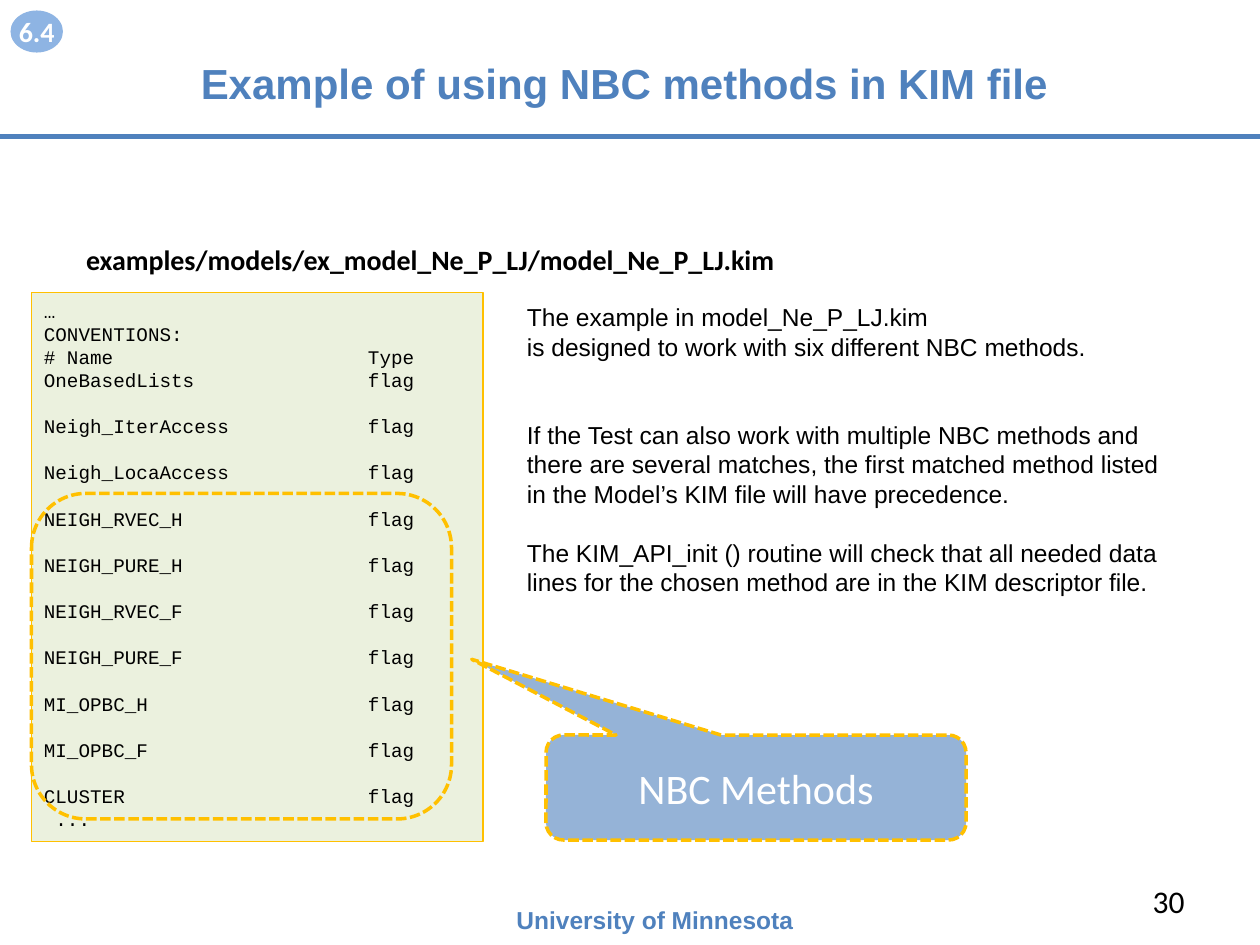
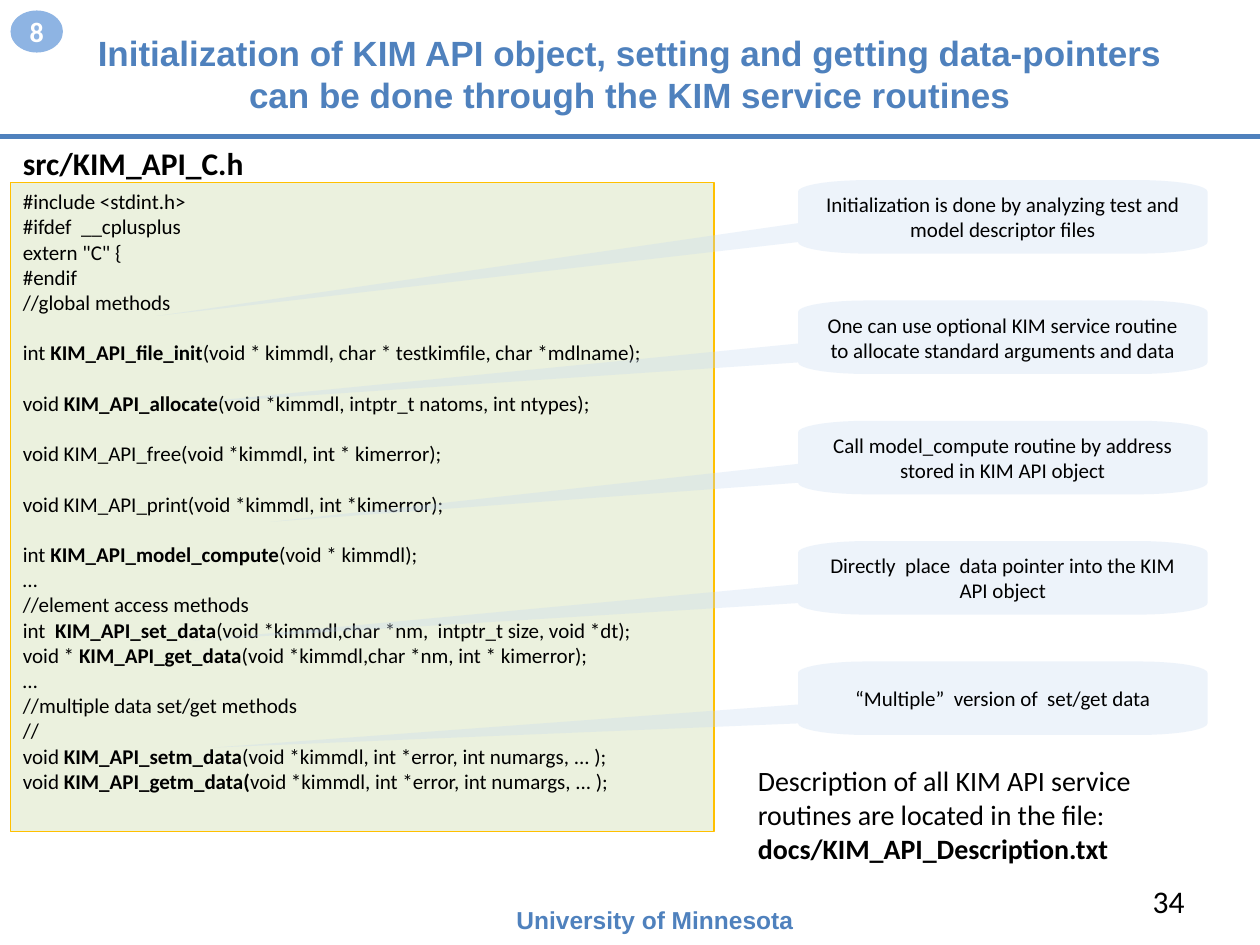
"""Build two slides on KIM files and the KIM API service routines."""
from math import cos, radians, sin

from lxml.etree import SubElement
from pptx import Presentation
from pptx.dml.color import RGBColor
from pptx.enum.dml import MSO_LINE
from pptx.enum.shapes import MSO_CONNECTOR, MSO_SHAPE
from pptx.enum.text import MSO_ANCHOR, MSO_AUTO_SIZE, PP_ALIGN
from pptx.oxml.ns import qn
from pptx.util import Inches, Pt

U = Inches(1) // 12
COLS, ROWS = 120, 90
BLUE, BADGE, STEEL, PALE = "4F81BD", "8EB4E3", "95B3D7", "C6D9F1"
GREEN, GOLD, BLACK, WHITE = "EBF1DE", "FFC000", "000000", "FFFFFF"
LEFT, CENTER, RIGHT = PP_ALIGN.LEFT, PP_ALIGN.CENTER, PP_ALIGN.RIGHT
rgb = RGBColor.from_string


def paint(sp, fill=None, line=None, width=0.75, dash=None):
    """Set the fill and outline of a shape."""
    sp.shadow.inherit = False
    if fill:
        sp.fill.solid()
        sp.fill.fore_color.rgb = rgb(fill)
    else:
        sp.fill.background()
    if line:
        sp.line.color.rgb = rgb(line)
        sp.line.width = Pt(width)
        sp.line.dash_style = dash
    else:
        sp.line.fill.background()


def write(sp, lines, size, font="Calibri", color=BLACK, bold=False, align=LEFT, anchor=MSO_ANCHOR.TOP):
    """Write lines, where '' widens the gap and |bars| switch the weight."""
    tf = sp.text_frame
    tf.word_wrap = True
    tf.auto_size = MSO_AUTO_SIZE.NONE
    tf.vertical_anchor = anchor
    pitch, gap, p = 1.2 * size, 0, None
    for line in lines:
        if not line:
            gap += pitch
            continue
        p = tf.add_paragraph() if p else tf.paragraphs[0]
        p.alignment = align
        p.line_spacing = Pt(pitch)
        p.space_before, p.space_after = Pt(gap), Pt(0)
        gap = 0
        for i, part in enumerate(line.split("|")):
            if not part:
                continue
            r = p.add_run()
            r.text = part
            r.font.name, r.font.size = font, Pt(size)
            r.font.bold = bold != (i % 2 == 1)
            r.font.color.rgb = rgb(color)


flags = ["Neigh_IterAccess", "Neigh_LocaAccess", "NEIGH_RVEC_H", "NEIGH_PURE_H", "NEIGH_RVEC_F",
         "NEIGH_PURE_F", "MI_OPBC_H", "MI_OPBC_F", "CLUSTER"]
kim_file = ["…", "CONVENTIONS:", f"{'# Name':<28}Type", f"{'OneBasedLists':<28}flag"]
for flag in flags:
    kim_file += ["", f"{flag:<28}flag"]
kim_file.append(" ...")

header_file = [
    "#include <stdint.h>",
    "#ifdef  __cplusplus",
    'extern "C" {',
    "#endif",
    "//global methods",
    "",
    "int |KIM_API_file_init|(void * kimmdl, char * testkimfile, char *mdlname);",
    "",
    "void |KIM_API_allocate|(void *kimmdl, intptr_t natoms, int ntypes);",
    "",
    "void KIM_API_free(void *kimmdl, int * kimerror);",
    "",
    "void KIM_API_print(void *kimmdl, int *kimerror);",
    "",
    "int |KIM_API_model_compute|(void * kimmdl);",
    "…",
    "//element access methods",
    "int  |KIM_API_set_data|(void *kimmdl,char *nm,  intptr_t size, void *dt);",
    "void * |KIM_API_get_data|(void *kimmdl,char *nm, int * kimerror);",
    "…",
    "//multiple data set/get methods",
    "//",
    "void |KIM_API_setm_data|(void *kimmdl, int *error, int numargs, ... );",
    "void |KIM_API_getm_data(|void *kimmdl, int *error, int numargs, ... );",
]

explanation = [
    "The example in model_Ne_P_LJ.kim",
    "is designed to work with six different NBC methods.",
    "", "",
    "If the Test can also work with multiple NBC methods and there are several matches, "
    "the first matched method listed in the Model’s KIM file will have precedence.",
    "",
    "The KIM_API_init () routine will check that all needed data lines for the chosen method "
    "are in the KIM descriptor file.",
]
description = ["Description of all KIM API service routines are located in the file:",
               "|docs/KIM_API_Description.txt|"]

pages = [
    dict(title="Example of using NBC methods in KIM file", size=24, badge="6.4", number="30",
         panel=(3, 27.87, 43, 52.3), code=kim_file, code_size=11, code_font="Courier New",
         texts=[((49, 28.2, 64, 40.8), explanation, 14, "Arial", BLACK, False, LEFT),
                ((1, 22.5, 80, 4.5), ["examples/models/ex_model_Ne_P_LJ/model_Ne_P_LJ.kim"],
                 16, "Calibri", BLACK, True, CENTER)]),
    dict(title="Initialization of KIM API object, setting and getting data-pointers "
               "can be done through the KIM service routines", size=20, badge="8", number="34",
         panel=(1, 17.38, 67, 61.8), code=header_file, code_size=12, code_font="Calibri",
         texts=[((1, 13.15, 34, 4.8), ["src/KIM_API_C.h"], 18, "Calibri", BLACK, True, LEFT),
                ((71, 72.16, 45, 10.9), description, 16, "Calibri", BLACK, False, LEFT)]),
]

prs = Presentation()
prs.slide_width, prs.slide_height = COLS * U, ROWS * U
slides = []
for page in pages:
    s = prs.slides.add_slide(prs.slide_layouts[5])
    slides.append(s)
    title = s.shapes.title
    title.left, title.top, title.width, title.height = 6 * U, 3 * U, 108 * U, 8 * U
    write(title, [page["title"]], page["size"], "Arial", BLUE, True, CENTER, MSO_ANCHOR.MIDDLE)

    rule = s.shapes.add_connector(MSO_CONNECTOR.STRAIGHT, 0, 13 * U, COLS * U, 13 * U)
    rule.line.color.rgb = rgb(BLUE)
    rule.line.width = Pt(3)
    SubElement(rule.element.spPr, qn("a:effectLst"))

    badge = s.shapes.add_shape(MSO_SHAPE.OVAL, U, U, 5 * U, 4 * U)
    paint(badge, BADGE)
    badge.text_frame.margin_left = badge.text_frame.margin_right = 0
    write(badge, [page["badge"]], 16, color=WHITE, bold=True, align=CENTER, anchor=MSO_ANCHOR.MIDDLE)

    panel = s.shapes.add_shape(MSO_SHAPE.RECTANGLE, *[int(v * U) for v in page["panel"]])
    paint(panel, GREEN, GOLD)
    write(panel, page["code"], page["code_size"], page["code_font"])

    footers = [((48, 85.56, 32, 4), ["University of Minnesota"], 14, "Arial", BLUE, True, LEFT),
               ((86, 83.4, 28, 4.8), [page["number"]], 18, "Calibri", BLACK, False, RIGHT)]
    for box, *text in page["texts"] + footers:
        write(s.shapes.add_textbox(*[int(v * U) for v in box]), *text)

s = slides[0]
tf = s.shapes.title.text_frame
tf.margin_top, tf.margin_right = Inches(0.19), Inches(0.19)
frame = s.shapes.add_shape(MSO_SHAPE.ROUNDED_RECTANGLE, 3 * U, 47 * U, 40 * U, 31 * U)
paint(frame, None, GOLD, 2, MSO_LINE.SQUARE_DOT)
callout = s.shapes.add_shape(MSO_SHAPE.ROUNDED_RECTANGULAR_CALLOUT, 52 * U, 70 * U, 40 * U, 10 * U)
callout.adjustments[0], callout.adjustments[1] = -0.677, -1.221
paint(callout, STEEL, GOLD, 2, MSO_LINE.SQUARE_DOT)
write(callout, ["NBC Methods"], 24, color=WHITE, align=CENTER, anchor=MSO_ANCHOR.MIDDLE)

s = slides[1]
x, w, h, rx, ry = 76, 39, 7, 6.5, 1.1
callouts = [
    (14.9, 30.1, "Initialization is done by analyzing test and model descriptor files"),
    (17, 38.5, "One can use optional KIM service routine to allocate standard arguments and data"),
    (25.8, 49.7, "Call model_compute routine by address stored in KIM API object"),
    (18.4, 61, "Directly  place  data pointer into the KIM API object"),
    (20.3, 71.2, "“Multiple”  version of  set/get data"),
]
corners = [(rx, ry, 180), (w - rx, ry, 270), (w - rx, h - ry, 0), (rx, h - ry, 90)]
arcs = [(cx + rx * cos(radians(start + a)), cy + ry * sin(radians(start + a)))
        for cx, cy, start in corners for a in range(0, 91, 10)]
for i, (tip_x, tip_y, text) in enumerate(callouts):
    y = 17.16 + 11.46 * i
    outline = arcs + [(tip_x - x, tip_y - y), (0, 4.1)]
    pts = [(int((x + px) * U), int((y + py) * U)) for px, py in outline]
    fb = s.shapes.build_freeform(*pts[0])
    fb.add_line_segments(pts[1:], close=True)
    sp = fb.convert_to_shape()

    left, top = int(x * U), int(y * U)
    dx, dy = left - sp.left, top - sp.top
    sp.left, sp.top, sp.width, sp.height = left, top, w * U, h * U
    geom = sp.element.spPr.find(".//" + qn("a:path"))
    geom.set("w", str(w * U))
    geom.set("h", str(h * U))
    for pt in geom.iter(qn("a:pt")):
        pt.set("x", str(int(pt.get("x")) - dx))
        pt.set("y", str(int(pt.get("y")) - dy))

    paint(sp, PALE)
    SubElement(sp.element.spPr.find(".//" + qn("a:srgbClr")), qn("a:alpha"), val="31000")
    tf = sp.text_frame
    tf.margin_left = tf.margin_right = Inches(0.2)
    write(sp, [text], 12, align=CENTER, anchor=MSO_ANCHOR.MIDDLE)

prs.save("out.pptx")
